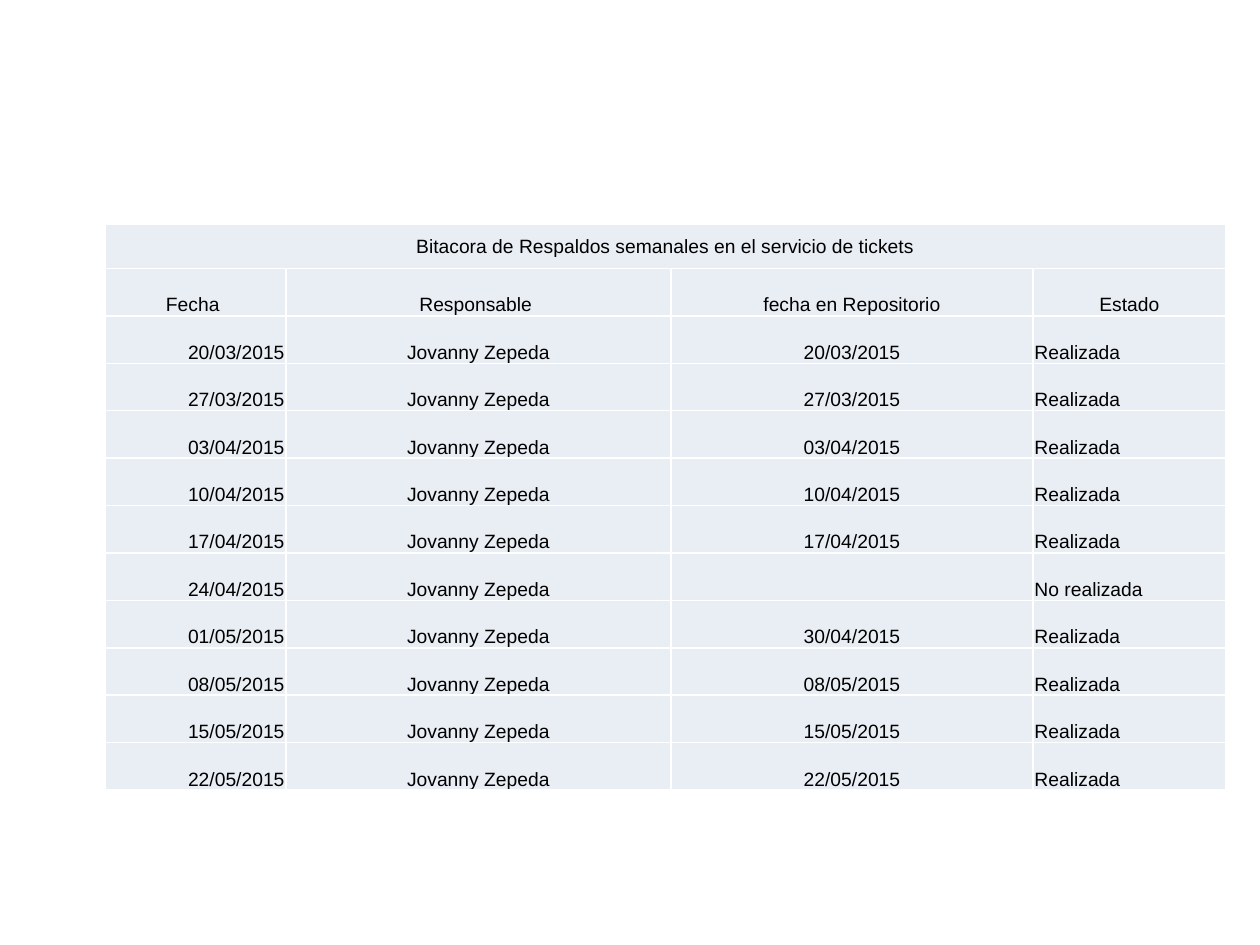
"""Build the slide with the weekly backup log of the ticket service."""
import lxml.etree
import pptx
import pptx.dml.color
import pptx.enum.text
import pptx.oxml.ns
import pptx.util

Pt = pptx.util.Pt
ALIGN = pptx.enum.text.PP_ALIGN
ANCHOR = pptx.enum.text.MSO_ANCHOR
BLACK = pptx.dml.color.RGBColor(0x00, 0x00, 0x00)
WHITE = pptx.dml.color.RGBColor(0xFF, 0xFF, 0xFF)
PALE_BLUE = pptx.dml.color.RGBColor(0xE9, 0xED, 0xF4)

LOG_TITLE = "Bitacora de Respaldos semanales en el servicio de tickets"
HEADINGS = ("Fecha ", "Responsable ", "fecha en Repositorio", "Estado")
RESPONSIBLE = "Jovanny Zepeda"
DONE, MISSED = "Realizada", "No realizada"
BACKUPS = (
    ("20/03/2015", "20/03/2015", DONE),
    ("27/03/2015", "27/03/2015", DONE),
    ("03/04/2015", "03/04/2015", DONE),
    ("10/04/2015", "10/04/2015", DONE),
    ("17/04/2015", "17/04/2015", DONE),
    ("24/04/2015", "", MISSED),
    ("01/05/2015", "30/04/2015", DONE),
    ("08/05/2015", "08/05/2015", DONE),
    ("15/05/2015", "15/05/2015", DONE),
    ("22/05/2015", "22/05/2015", DONE),
)
COLUMN_WIDTHS = (103.4, 220, 207, 110)
COLUMN_ALIGNMENTS = (ALIGN.RIGHT, ALIGN.CENTER, ALIGN.CENTER, ALIGN.LEFT)
TITLE_HEIGHT, ROW_HEIGHT = 25, 27.1
LEFT, TOP = 60, 128.4


def add_borders(cell):
    """Draw a thin white line on each side of a cell."""
    properties = cell._tc.get_or_add_tcPr()
    for position, side in enumerate(("a:lnL", "a:lnR", "a:lnT", "a:lnB")):
        border = lxml.etree.Element(pptx.oxml.ns.qn(side), w=str(Pt(1)))
        fill = lxml.etree.SubElement(border, pptx.oxml.ns.qn("a:solidFill"))
        lxml.etree.SubElement(fill, pptx.oxml.ns.qn("a:srgbClr"), val=str(WHITE))
        properties.insert(position, border)


def format_cell(cell, anchor):
    """Give a cell its fill, narrow margins and borders."""
    cell.fill.solid()
    cell.fill.fore_color.rgb = PALE_BLUE
    cell.margin_left = cell.margin_right = cell.margin_top = Pt(0.75)
    cell.margin_bottom = 0
    cell.vertical_anchor = anchor
    add_borders(cell)


def write_cell(cell, text, alignment):
    """Write black Arial text into a cell."""
    cell.text_frame.text = text
    paragraph = cell.text_frame.paragraphs[0]
    paragraph.alignment = alignment
    for run in paragraph.runs:
        run.font.name = "Arial"
        run.font.size = Pt(11)
        run.font.bold = False
        run.font.color.rgb = BLACK


def add_backup_log(slide):
    """Add the table with its title row, headings and weekly entries."""
    entries = [(date, RESPONSIBLE, stored, status) for date, stored, status in BACKUPS]
    heights = [TITLE_HEIGHT] + [ROW_HEIGHT] * (len(entries) + 1)
    log = slide.shapes.add_table(
        len(heights), len(COLUMN_WIDTHS), Pt(LEFT), Pt(TOP),
        Pt(sum(COLUMN_WIDTHS)), Pt(sum(heights))).table
    log.first_row = log.horz_banding = False
    for column, width in zip(log.columns, COLUMN_WIDTHS):
        column.width = Pt(width)
    for row_number, (row, height) in enumerate(zip(log.rows, heights)):
        row.height = Pt(height)
        for cell in row.cells:
            format_cell(cell, ANCHOR.BOTTOM if row_number else ANCHOR.MIDDLE)

    log.cell(0, 0).merge(log.cell(0, len(COLUMN_WIDTHS) - 1))
    write_cell(log.cell(0, 0), LOG_TITLE, ALIGN.CENTER)
    for column_number, heading in enumerate(HEADINGS):
        write_cell(log.cell(1, column_number), heading, ALIGN.CENTER)
    for row_number, entry in enumerate(entries, start=2):
        for column_number, text in enumerate(entry):
            write_cell(log.cell(row_number, column_number), text,
                       COLUMN_ALIGNMENTS[column_number])


def main():
    """Create the presentation and save it."""
    presentation = pptx.Presentation()
    presentation.slide_width, presentation.slide_height = Pt(720), Pt(540)
    slide = presentation.slides.add_slide(presentation.slide_layouts[6])
    slide.background.fill.solid()
    slide.background.fill.fore_color.rgb = WHITE
    add_backup_log(slide)
    presentation.save("out.pptx")


main()
